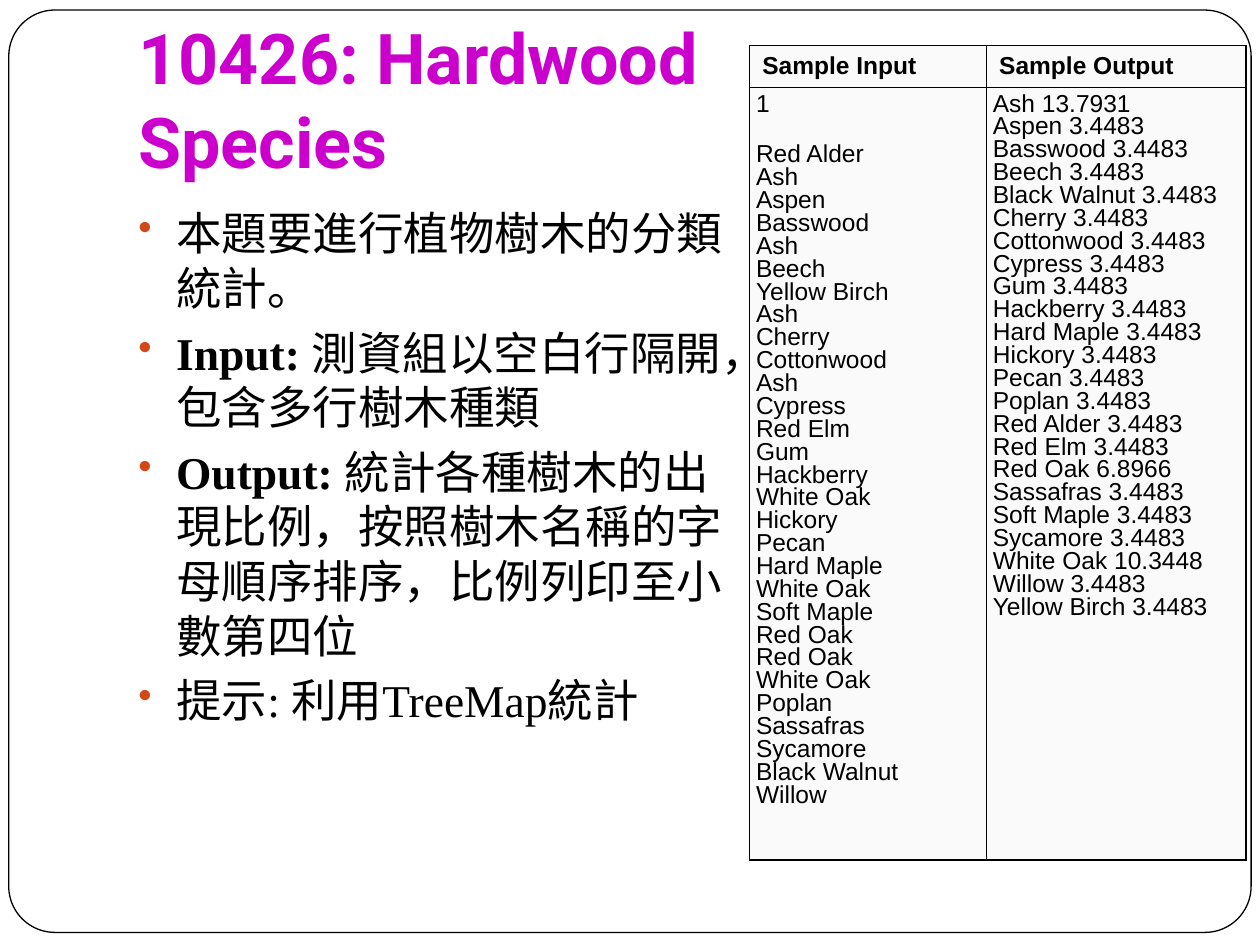
from dataclasses import dataclass
from typing import Any

from lxml.etree import SubElement
from pptx import Presentation
from pptx.dml.color import RGBColor
from pptx.enum.shapes import MSO_SHAPE
from pptx.enum.text import MSO_ANCHOR, MSO_AUTO_SIZE, PP_ALIGN
from pptx.oxml import parse_xml
from pptx.oxml.ns import nsdecls, qn
from pptx.util import Inches, Pt


@dataclass(frozen=True)
class Theme:
    """Colours, fonts and type sizes of the slide."""
    paper: str = "FFFFFF"
    ink: str = "000000"
    heading: str = "CC00CC"
    bullet: str = "D34817"
    cell: str = "FAFAFA"
    heading_font: str = "Roboto"
    body_font: str = "Times New Roman"
    sample_font: str = "Arial"
    heading_size: float = 40
    body_size: float = 26
    sample_size: float = 14


@dataclass(frozen=True)
class Point:
    """A bulleted remark with an optional bold lead."""
    lead: str
    remark: str


@dataclass(frozen=True)
class Sample:
    """A table column; the blocks in it are set apart by a gap."""
    heading: str
    width: float
    blocks: list[list[str]]


THEME = Theme()
POINTS = [
    Point("", "本題要進行植物樹木的分類統計。"),
    Point("Input:", " 測資組以空白行隔開，包含多行樹木種類"),
    Point("Output: ", "統計各種樹木的出現比例，按照樹木名稱的字母順序排序，比例列印至小數第四位"),
    Point("", "提示: 利用TreeMap統計"),
]
TREES = [
    "Red Alder", "Ash", "Aspen", "Basswood", "Ash", "Beech", "Yellow Birch",
    "Ash", "Cherry", "Cottonwood", "Ash", "Cypress", "Red Elm", "Gum",
    "Hackberry", "White Oak", "Hickory", "Pecan", "Hard Maple", "White Oak",
    "Soft Maple", "Red Oak", "Red Oak", "White Oak", "Poplan", "Sassafras",
    "Sycamore", "Black Walnut", "Willow",
]
SHARES = [f"{tree} {100 * TREES.count(tree) / len(TREES):.4f}" for tree in sorted(set(TREES))]
SAMPLES = [
    Sample("Sample Input", 1.88, [["1"], TREES]),
    Sample("Sample Output", 2.06, [SHARES]),
]


def apply(target: Any, formats: dict[str, Any]) -> None:
    """Set each named format value on the target."""
    for name, value in formats.items():
        setattr(target, name, value)


def margins(left: float, top: float, right: float, bottom: float) -> dict[str, Any]:
    """Give inner margins in inches as format values."""
    sides = zip(("left", "top", "right", "bottom"), (left, top, right, bottom))
    return {f"margin_{side}": Inches(length) for side, length in sides}


def place(shape: Any, left: float, top: float, width: float, height: float) -> None:
    """Move and size a shape in inches."""
    apply(shape, {"left": Inches(left), "top": Inches(top),
                  "width": Inches(width), "height": Inches(height)})


def write(paragraph: Any, text: str, font: str, size: float, color: str, bold: bool = False) -> None:
    """Add a formatted run to a paragraph."""
    run = paragraph.add_run()
    run.text = text
    apply(run.font, {"name": font, "size": Pt(size), "bold": bold})
    run.font.color.rgb = RGBColor.from_string(color)


def next_paragraph(frame: Any, index: int) -> Any:
    """Return the first paragraph of a frame or add another."""
    return frame.add_paragraph() if index else frame.paragraphs[0]


def draw_title(slide: Any) -> None:
    """Set the heading in the title placeholder."""
    place(slide.shapes.title, 1, 0.3, 5.1, 1.25)
    frame = slide.shapes.title.text_frame
    apply(frame, {"word_wrap": True, "auto_size": MSO_AUTO_SIZE.NONE,
                  "vertical_anchor": MSO_ANCHOR.BOTTOM, **margins(0.1, 0.05, 0.1, 0.1)})
    frame.paragraphs[0].alignment = PP_ALIGN.LEFT
    write(frame.paragraphs[0], "10426: Hardwood Species", THEME.heading_font,
          THEME.heading_size, THEME.heading, True)


def draw_border(slide: Any) -> None:
    """Draw the rounded page border behind the title."""
    border = slide.shapes.add_shape(MSO_SHAPE.ROUNDED_RECTANGLE, 0, 0, 0, 0)
    place(border, 0.07, 0.08, 9.86, 7.32)
    border.adjustments[0] = 0.05
    border.shadow.inherit = False
    border.fill.solid()
    border.fill.fore_color.rgb = RGBColor.from_string(THEME.paper)
    border.line.color.rgb = RGBColor.from_string(THEME.ink)
    border.line.width = Pt(0.75)
    slide.shapes.title.element.addprevious(border.element)


def add_bullet(paragraph: Any) -> None:
    """Give a paragraph a hanging coloured bullet."""
    properties = paragraph._p.get_or_add_pPr()
    indent = Inches(0.3)
    properties.set("marL", str(indent))
    properties.set("indent", str(-indent))
    color = SubElement(properties, qn("a:buClr"))
    SubElement(color, qn("a:srgbClr")).set("val", THEME.bullet)
    SubElement(properties, qn("a:buSzPct")).set("val", "87000")
    SubElement(properties, qn("a:buChar")).set("char", "•")


def draw_points(slide: Any, points: list[Point]) -> None:
    """Write the bulleted remarks."""
    frame = slide.shapes.add_textbox(Inches(1), Inches(1.58), Inches(4.87), Inches(5)).text_frame
    apply(frame, {"word_wrap": True, **margins(0.1, 0.05, 0.1, 0.05)})
    for index, point in enumerate(points):
        paragraph = next_paragraph(frame, index)
        paragraph.space_before = Pt(5.8)
        add_bullet(paragraph)
        for text, bold in ((point.lead, True), (point.remark, False)):
            if text:
                write(paragraph, text, THEME.body_font, THEME.body_size, THEME.ink, bold)


def style_cell(cell: Any, formats: dict[str, Any]) -> None:
    """Fill a cell, rule its four sides and apply its formats."""
    apply(cell, formats)
    cell.fill.solid()
    cell.fill.fore_color.rgb = RGBColor.from_string(THEME.cell)
    for index, side in enumerate("LRTB"):
        cell._tc.get_or_add_tcPr().insert(index, parse_xml(
            f'<a:ln{side} {nsdecls("a")} w="{Pt(1)}"><a:solidFill>'
            f'<a:srgbClr val="{THEME.ink}"/></a:solidFill></a:ln{side}>'))


def draw_samples(slide: Any, samples: list[Sample]) -> None:
    """Draw the table of sample input and output."""
    heights = (0.32, 5.77)
    width = sum(sample.width for sample in samples)
    table = slide.shapes.add_table(len(heights), len(samples), Inches(5.95), Inches(0.36),
                                   Inches(width), Inches(sum(heights))).table
    apply(table, {"first_row": False, "horz_banding": False})
    for row, height in zip(table.rows, heights):
        row.height = Inches(height)
    for column, sample in enumerate(samples):
        table.columns[column].width = Inches(sample.width)
        header, listing = table.cell(0, column), table.cell(1, column)
        style_cell(header, {"vertical_anchor": MSO_ANCHOR.MIDDLE, **margins(0.1, 0.05, 0.3, 0.05)})
        style_cell(listing, margins(0.05, 0.05, 0.1, 0.05))
        write(header.text_frame.paragraphs[0], sample.heading, THEME.sample_font,
              THEME.sample_size, THEME.ink, True)
        entries = [(entry, block > 0 and line == 0)
                   for block, lines in enumerate(sample.blocks)
                   for line, entry in enumerate(lines)]
        for index, (entry, starts_block) in enumerate(entries):
            paragraph = next_paragraph(listing.text_frame, index)
            apply(paragraph, {"line_spacing": 0.83, "space_before": Pt(16 if starts_block else 0)})
            write(paragraph, entry, THEME.sample_font, THEME.sample_size, THEME.ink)


def main() -> None:
    """Build and save the slide."""
    deck = Presentation()
    apply(deck, {"slide_width": Inches(10), "slide_height": Inches(7.5)})
    slide = deck.slides.add_slide(deck.slide_layouts[5])
    draw_title(slide)
    draw_border(slide)
    draw_points(slide, POINTS)
    draw_samples(slide, SAMPLES)
    deck.save("out.pptx")


if __name__ == "__main__":
    main()
